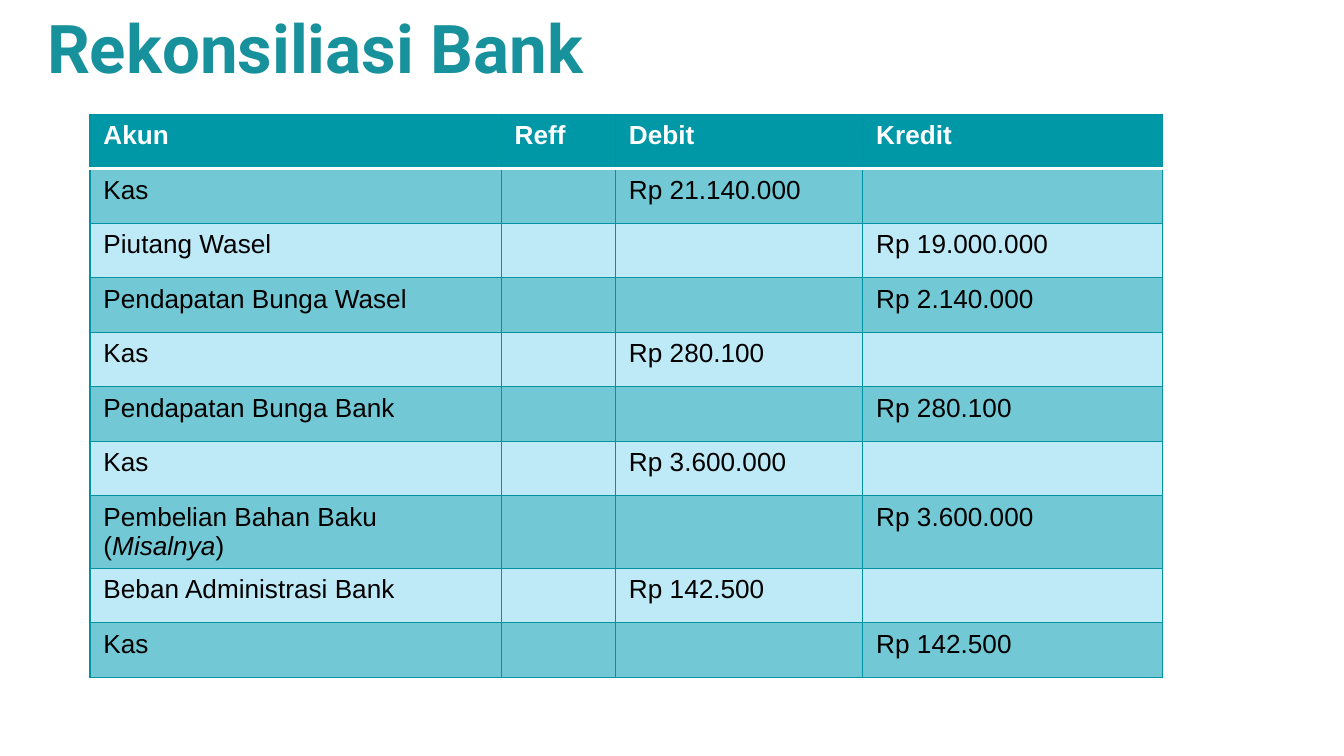
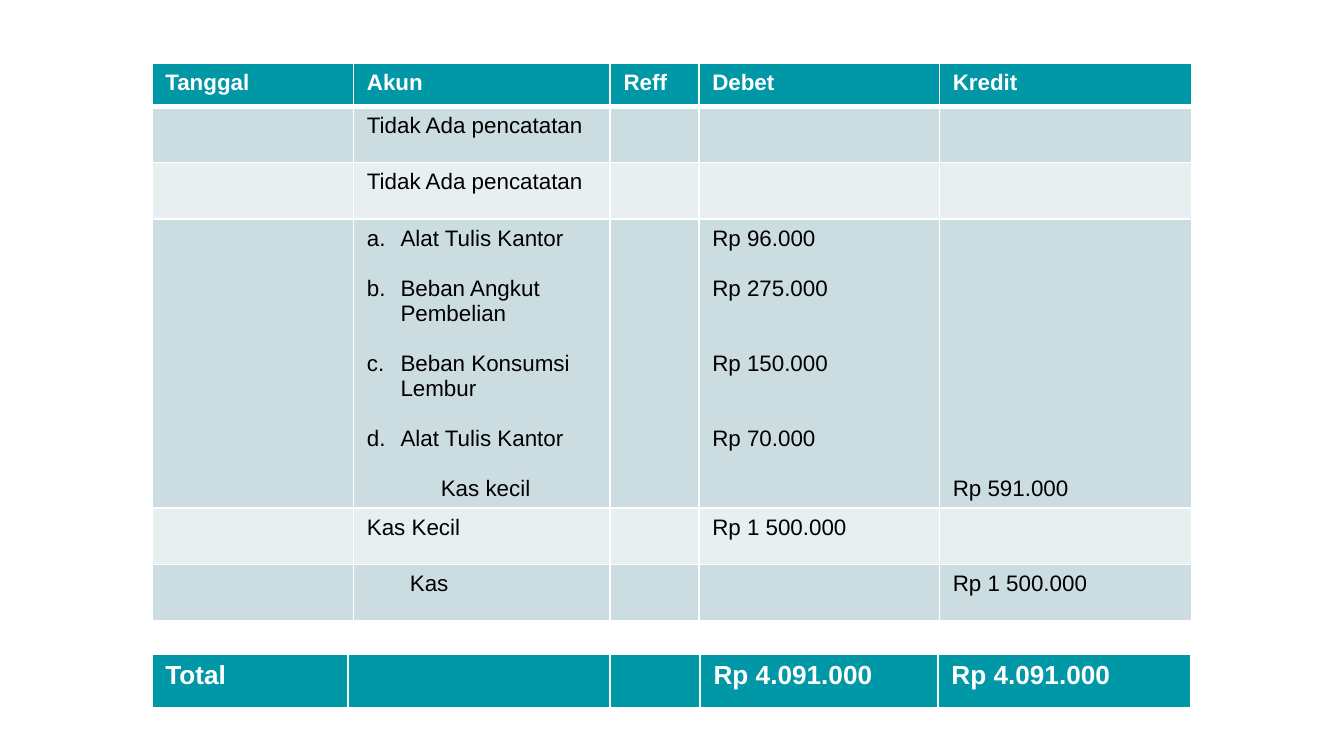
from lxml import etree
from pptx import Presentation
from pptx.dml.color import RGBColor
from pptx.enum.text import MSO_ANCHOR as Anchor, PP_ALIGN as Align
from pptx.oxml.ns import qn
from pptx.util import Inches, Pt

# Colours
TEAL = RGBColor(0x00, 0x97, 0xA7)
TITLE_TEAL = RGBColor(0x17, 0x91, 0x9B)
GRID_TEAL = RGBColor(0x00, 0x94, 0xA3)
AQUA = RGBColor(0x72, 0xC9, 0xD5)
PALE_AQUA = RGBColor(0xBE, 0xE9, 0xF7)
GREY = RGBColor(0xCC, 0xDD, 0xE1)
PALE_GREY = RGBColor(0xE7, 0xEF, 0xF1)
WHITE = RGBColor(0xFF, 0xFF, 0xFF)
BLACK = RGBColor(0, 0, 0)

LINE = 13.4  # height in points of one 12 pt line

# Content: a cell is a string, or a list of (text, paragraph format);
# underscores enclose italics
TITLE = "Rekonsiliasi Bank"
BANK_ROWS = [
    ("Akun", "Reff", "Debit", "Kredit"),
    ("Kas", "", "Rp 21.140.000", ""),
    ("Piutang Wasel", "", "", "Rp 19.000.000"),
    ("Pendapatan Bunga Wasel", "", "", "Rp 2.140.000"),
    ("Kas", "", "Rp 280.100", ""),
    ("Pendapatan Bunga Bank", "", "", "Rp 280.100"),
    ("Kas", "", "Rp 3.600.000", ""),
    ([("Pembelian Bahan Baku", {}), ("(_Misalnya_)", {})], "", "", "Rp 3.600.000"),
    ("Beban Administrasi Bank", "", "Rp 142.500", ""),
    ("Kas", "", "", "Rp 142.500"),
]
EXPENSES = [
    ("Alat Tulis Kantor", dict(numbered=True)),
    ("Beban Angkut Pembelian", dict(numbered=True, before=LINE)),
    ("Beban Konsumsi Lembur", dict(numbered=True, before=LINE)),
    ("Alat Tulis Kantor", dict(numbered=True, before=LINE)),
    ("Kas kecil", dict(indent=0.55, before=LINE)),
]
AMOUNTS = [
    ("Rp 96.000", {}),
    ("Rp 275.000", dict(before=LINE)),
    ("Rp 150.000", dict(before=2 * LINE)),
    ("Rp 70.000", dict(before=2 * LINE)),
]
CASH_ROWS = [
    ("Tanggal", "Akun", "Reff", "Debet", "Kredit"),
    ("", "Tidak Ada pencatatan", "", "", ""),
    ("", "Tidak Ada pencatatan", "", "", ""),
    ("", EXPENSES, "", AMOUNTS, "Rp 591.000"),
    ("", "Kas Kecil", "", "Rp 1 500.000", ""),
    ("", [("Kas", dict(indent=0.32))], "", "", "Rp 1 500.000"),
]
TOTAL_ROWS = [("Total", "", "", "Rp 4.091.000", "Rp 4.091.000")]


def write(p, text, size, color, font="Arial", bold=False,
          indent=0, before=0, numbered=False):
    """Fill one paragraph."""
    pPr = p._p.get_or_add_pPr()
    if numbered:
        indent = 0.25
        pPr.set("indent", str(-Inches(indent)))
        etree.SubElement(pPr, qn("a:buFont"), typeface="+mj-lt")
        etree.SubElement(pPr, qn("a:buAutoNum"), type="alphaLcPeriod")
    if indent:
        pPr.set("marL", str(Inches(indent)))
    if before:
        p.space_before = Pt(before)
    for i, part in enumerate(text.split("_")):
        if part:
            r = p.add_run()
            r.text = part
            f = r.font
            f.name, f.size, f.bold = font, Pt(size), bold
            f.color.rgb = color
            f.italic = i % 2 == 1


def add_border(cell, side, color, width):
    ln = etree.SubElement(cell._tc.get_or_add_tcPr(), qn("a:ln" + side),
                          w=str(Pt(width)))
    fill = etree.SubElement(ln, qn("a:solidFill"))
    etree.SubElement(fill, qn("a:srgbClr"), val=str(color))


def add_grid(slide, left, top, cols, heights, rows, size, bands, grid, rule):
    """Table with a teal header, banded body and a white rule under the header."""
    frame = slide.shapes.add_table(len(rows), len(cols), Inches(left), Inches(top),
                                   Inches(sum(cols)), Inches(sum(heights)))
    table = frame.table
    table.horz_banding = False
    for col, width in zip(table.columns, cols):
        col.width = Inches(width)
    for i, row in enumerate(rows):
        table.rows[i].height = Inches(heights[i])
        head = i == 0
        for j, content in enumerate(row):
            cell = table.cell(i, j)
            for side in "LRTB":
                ruled = side == "B" and head or side == "T" and i == 1
                add_border(cell, side, *((WHITE, rule) if ruled else grid))
            cell.fill.solid()
            cell.fill.fore_color.rgb = TEAL if head else bands[(i - 1) % 2]
            paras = [(content, {})] if isinstance(content, str) else content
            tf = cell.text_frame
            for k, (text, fmt) in enumerate(paras):
                p = tf.add_paragraph() if k else tf.paragraphs[0]
                write(p, text, size, WHITE if head else BLACK, bold=head, **fmt)
    return table


def add_title(slide, text):
    sp = slide.shapes.title
    sp.left, sp.top, sp.width, sp.height = map(Inches, (0.34, 0.04, 9.33, 0.62))
    tf = sp.text_frame
    tf.margin_left = tf.margin_right = tf.margin_bottom = 0
    tf.margin_top = Inches(0.01)
    tf.vertical_anchor = Anchor.TOP
    p = tf.paragraphs[0]
    p.alignment = Align.LEFT
    write(p, text, 36, TITLE_TEAL, font="Roboto", bold=True, indent=0.01)


def main():
    prs = Presentation()
    prs.slide_width = Inches(10)
    prs.slide_height = prs.slide_width * 9 // 16
    title_only, blank = prs.slide_layouts[5], prs.slide_layouts[6]

    # Slide 1: bank reconciliation; the two-line row is taller
    s = prs.slides.add_slide(title_only)
    add_title(s, TITLE)
    total, tall = 4.19, 0.54
    plain = (total - tall) / (len(BANK_ROWS) - 1)
    heights = [plain if isinstance(row[0], str) else tall for row in BANK_ROWS]
    add_grid(s, 0.67, 0.85, [3.06, 0.85, 1.84, 2.23], heights, BANK_ROWS, 14,
             (AQUA, PALE_AQUA), (GRID_TEAL, 0.75), 2)

    # Slide 2: petty cash journal and its total
    s = prs.slides.add_slide(blank)
    look = dict(bands=(GREY, PALE_GREY), grid=(WHITE, 1), rule=3)
    journal = add_grid(s, 1.13, 0.47, [1.5, 1.91, 0.66, 1.79, 1.88],
                       [0.32, 0.42, 0.42, 2.14, 0.42, 0.42], CASH_ROWS, 12, **look)
    journal.cell(3, 4).vertical_anchor = Anchor.BOTTOM
    add_grid(s, 1.13, 4.87, [1.46, 1.95, 0.67, 1.77, 1.88], [0.41],
             TOTAL_ROWS, 14, **look)

    prs.save("out.pptx")


if __name__ == "__main__":
    main()
